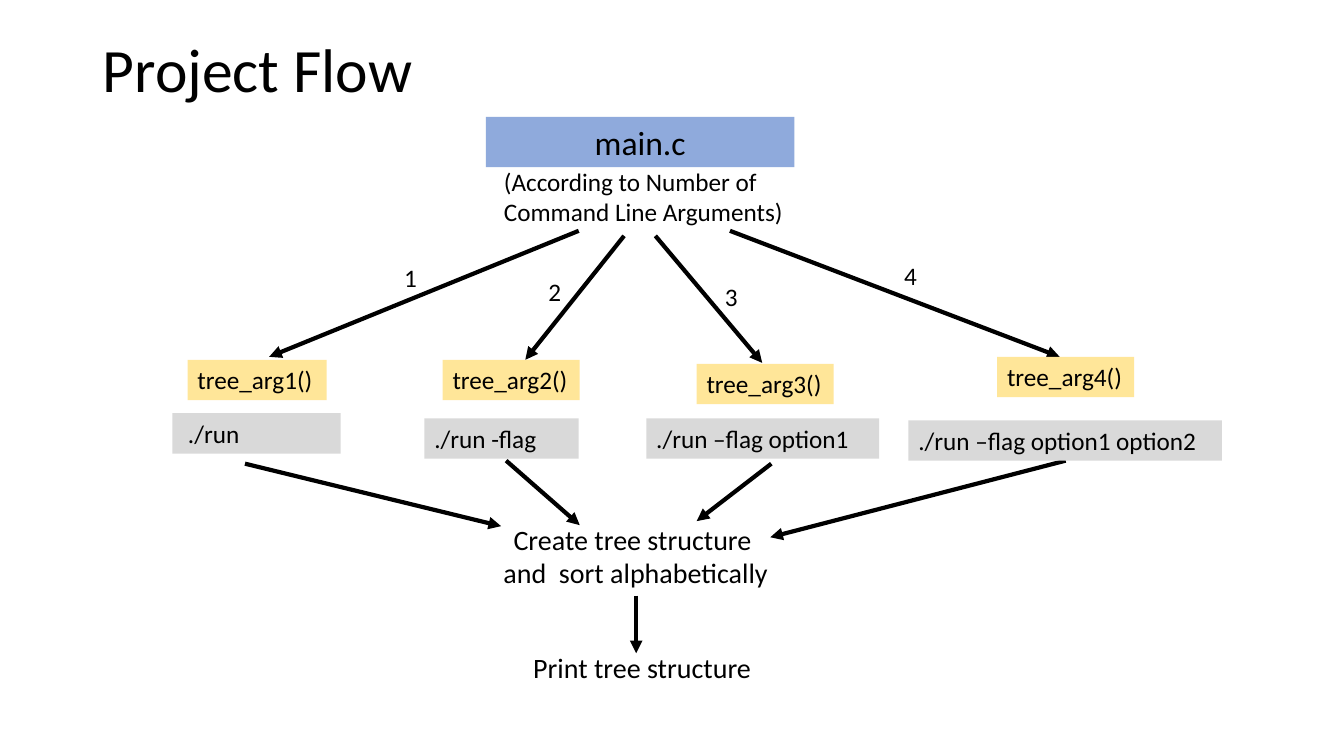
import pptx
import pptx.util
import pptx.dml.color
import pptx.enum.shapes
import pptx.enum.text
import pptx.oxml.ns
from lxml import etree

Inches = pptx.util.Inches
ALIGN = pptx.enum.text.PP_ALIGN
COLORS = {"text": "000000", "main": "8FAADC", "function": "FFE699", "command": "D9D9D9"}
FONT = "Calibri"
ROW_H = 0.4

TITLE = "Project Flow"
BRANCHES = [
    {"count": ("1", 3.91, 2.55, 0.33), "function": ("tree_arg1()", 1.86, 3.57, 1.38),
     "command": (" ./run ", 1.71, 4.1, 1.67),
     "arrows": [(5.74, 2.29, 2.67, 3.54), (2.43, 4.6, 4.97, 5.22)]},
    {"count": ("2", 5.34, 2.69, 0.33), "function": ("tree_arg2()", 4.39, 3.57, 1.36),
     "command": ("./run -flag", 4.21, 4.15, 1.53),
     "arrows": [(6.19, 2.34, 5.21, 3.57), (5.02, 4.57, 5.75, 5.21)]},
    {"count": ("3", 7.09, 2.74, 0.37), "function": ("tree_arg3()", 6.91, 3.61, 1.36),
     "command": ("./run –flag option1", 6.41, 4.15, 2.31),
     "arrows": [(6.5, 2.34, 7.56, 3.6), (7.65, 4.6, 6.91, 5.17)]},
    {"count": ("4", 8.87, 2.53, 0.33), "function": ("tree_arg4()", 9.89, 3.54, 1.36),
     "command": ("./run –flag option1 option2", 9.01, 4.17, 3.11),
     "arrows": [(7.24, 2.29, 10.51, 3.54), (10.57, 4.57, 7.64, 5.33)]},
]
PRINT_ARROW = (6.31, 5.91, 6.31, 6.48)


def rgb(name):
    return pptx.dml.color.RGBColor.from_string(COLORS[name])


def write(tf, lines, size, align):
    for i, line in enumerate(lines):
        p = tf.paragraphs[0] if i == 0 else tf.add_paragraph()
        p.alignment = align
        r = p.add_run()
        r.text = line
        r.font.size = pptx.util.Pt(size)
        r.font.name = FONT
        r.font.color.rgb = rgb("text")


def add_box(lines, x, y, w, h=ROW_H, size=18, fill=None, align=ALIGN.LEFT, wrap=True):
    at = [Inches(v) for v in (x, y, w, h)]
    if fill:
        sp = s.shapes.add_shape(pptx.enum.shapes.MSO_SHAPE.RECTANGLE, *at)
        sp.shadow.inherit = False
        sp.fill.solid()
        sp.fill.fore_color.rgb = rgb(fill)
        sp.line.fill.background()
    else:
        sp = s.shapes.add_textbox(*at)
    tf = sp.text_frame
    tf.word_wrap = wrap
    tf.auto_size = pptx.enum.text.MSO_AUTO_SIZE.SHAPE_TO_FIT_TEXT
    tf.vertical_anchor = pptx.enum.text.MSO_ANCHOR.TOP
    write(tf, lines, size, align)


def add_arrow(*ends):
    c = s.shapes.add_connector(pptx.enum.shapes.MSO_CONNECTOR.STRAIGHT,
                               *[Inches(v) for v in ends])
    c.line.color.rgb = rgb("text")
    c.line.width = pptx.util.Pt(3)
    qn = pptx.oxml.ns.qn
    etree.SubElement(c.line._get_or_add_ln(), qn("a:tailEnd"), type="triangle")
    etree.SubElement(c._element.spPr, qn("a:effectLst"))


prs = pptx.Presentation()
prs.slide_width, prs.slide_height = Inches(13.33), Inches(7.5)
s = prs.slides.add_slide(prs.slide_layouts[5])

title = s.shapes.title
title.left, title.top, title.width, title.height = [
    Inches(v) for v in (0.92, -0.01, 11.5, 1.45)]
title.text_frame.vertical_anchor = pptx.enum.text.MSO_ANCHOR.MIDDLE
write(title.text_frame, [TITLE], 44, ALIGN.LEFT)
title.text_frame.paragraphs[0].line_spacing = 0.9

add_box(["main.c"], 4.82, 1.16, 3.06, 0.5, 24, "main", ALIGN.CENTER)
add_box(["(According to Number of Command Line Arguments)"], 4.9, 1.6, 3.06, 1.01)

for branch in BRANCHES:
    for ends in branch["arrows"]:
        add_arrow(*ends)
    for part, fill in (("count", None), ("function", "function"), ("command", "command")):
        text, x, y, w = branch[part]
        add_box([text], x, y, w, fill=fill, wrap=part == "command")

add_box(["Create tree structure ", "and  sort alphabetically"],
        4.76, 5.13, 3.09, 0.77, 20, align=ALIGN.CENTER)
add_arrow(*PRINT_ARROW)
add_box(["Print tree structure"], 5.19, 6.4, 2.43, 0.44, 20)

prs.save("out.pptx")
